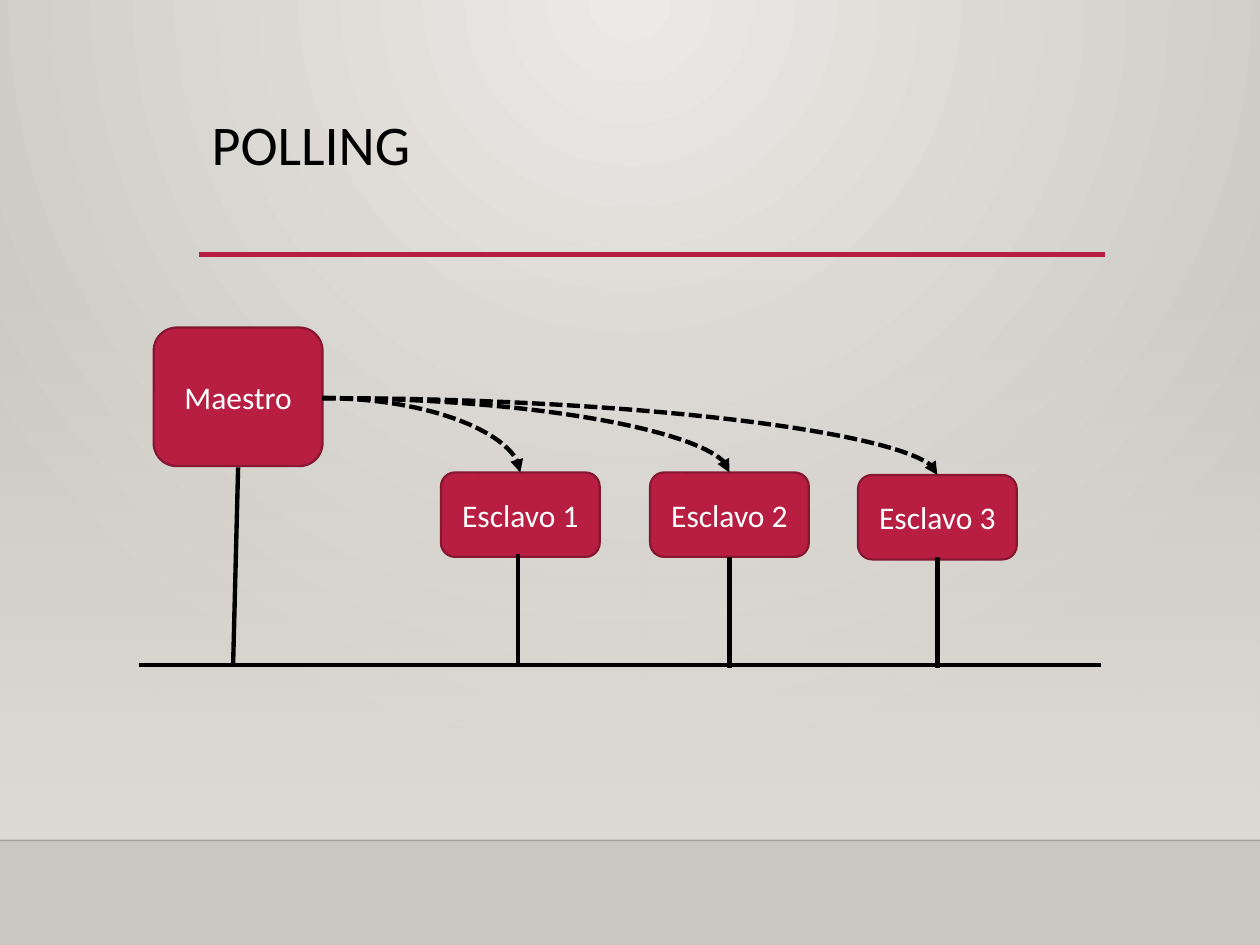
import pptx
import pptx.util
import pptx.dml.color
import pptx.enum.dml
import pptx.enum.shapes
import pptx.enum.text
import pptx.oxml
import pptx.oxml.ns
from pptx.util import Inches

# Content: label, left, top, width, height
TITLE = "POLLING"
MASTER = ("Maestro", 1.22, 2.6, 1.34, 1.1)
SLAVES = [(f"Esclavo {n + 1}", left, top, 1.26, 0.67)
          for n, (left, top) in enumerate([(3.5, 3.75), (5.16, 3.75), (6.81, 3.77)])]
BUS = (1.1, 5.28, 8.74, 5.28)
DROPS = [(1.89, 3.71, 1.85, 5.28), (4.11, 4.4, 4.11, 5.28),
         (5.79, 4.42, 5.79, 5.3), (7.44, 4.42, 7.44, 5.3)]

THEME = {
    "font": "Calibri", "title": 32, "label": 18,
    "ink": "000000", "white": "FFFFFF", "red": "B71E42", "edge": "871631",
    "light": "ECEAE7", "dark": "CAC7C1", "wall": "DFDBD5",
    "thick": 2.5, "thin": 1, "border": 1.25,
}
NS = pptx.oxml.ns.nsdecls("a")
qn = pptx.oxml.ns.qn
SHAPE = pptx.enum.shapes.MSO_SHAPE
LINK = pptx.enum.shapes.MSO_CONNECTOR
ANCHOR = pptx.enum.text.MSO_ANCHOR
ALIGN = pptx.enum.text.PP_ALIGN


def color(name):
    return pptx.dml.color.RGBColor.from_string(THEME[name])


def write(par, text, size, tint):
    run = par.add_run()
    run.text = text
    run.font.name = THEME["font"]
    run.font.size = pptx.util.Pt(THEME[size])
    run.font.color.rgb = color(tint)


def blend(owner, stops, shade):
    """Swap the solid fill inside owner for a gradient."""
    marks = "".join(
        f'<a:gs pos="{pos * 1000}"><a:srgbClr val="{THEME[name]}">'
        f'<a:alpha val="{alpha * 1000}"/></a:srgbClr></a:gs>'
        for pos, name, alpha in stops)
    grad = pptx.oxml.parse_xml(
        f'<a:gradFill {NS} rotWithShape="1"><a:gsLst>{marks}</a:gsLst>{shade}</a:gradFill>')
    solid = owner.find(qn("a:solidFill"))
    owner.replace(solid, grad)


def link(shapes, ends, tint="ink", width="thick", kind=LINK.STRAIGHT):
    line = shapes.add_connector(kind, *map(Inches, ends))
    line.line.color.rgb = color(tint)
    line.line.width = pptx.util.Pt(THEME[width])
    line._element.spPr.append(pptx.oxml.parse_xml(f"<a:effectLst {NS}/>"))
    return line


def poll(shapes, ends):
    """Dashed curve that leaves sideways and lands pointing down."""
    curve = link(shapes, ends, kind=LINK.CURVE)
    curve._element.spPr.find(qn("a:prstGeom")).set("prst", "curvedConnector2")
    curve.line.dash_style = pptx.enum.dml.MSO_LINE.SQUARE_DOT
    curve.line._get_or_add_ln().append(
        pptx.oxml.parse_xml(f'<a:tailEnd {NS} type="triangle"/>'))


def node(shapes, label, *place):
    box = shapes.add_shape(SHAPE.ROUNDED_RECTANGLE, *map(Inches, place))
    box.shadow.inherit = False
    box.fill.solid()
    box.fill.fore_color.rgb = color("red")
    box.line.color.rgb = color("edge")
    box.line.width = pptx.util.Pt(THEME["border"])
    box.text_frame.vertical_anchor = ANCHOR.MIDDLE
    par = box.text_frame.paragraphs[0]
    par.alignment = ALIGN.CENTER
    write(par, label, "label", "white")


def main():
    deck = pptx.Presentation()
    deck.slide_width, deck.slide_height = Inches(10), Inches(7.5)
    slide = deck.slides.add_slide(deck.slide_layouts[5])
    shapes = slide.shapes

    # Background: radial light, then a wall that fades in downwards
    slide.background.fill.solid()
    blend(slide._element.cSld.bg.bgPr, [(0, "light", 100), (100, "dark", 100)],
          '<a:path path="circle"><a:fillToRect l="43000" r="43000" b="100000"/></a:path>')
    wall = shapes.add_shape(SHAPE.RECTANGLE, *map(Inches, (0, 2.2, 10, 4.46)))
    wall.shadow.inherit = False
    wall.line.fill.background()
    wall.fill.solid()
    blend(wall._element.spPr, [(0, "wall", 0), (100, "wall", 100)],
          '<a:lin ang="5400000" scaled="0"/>')
    floor = link(shapes, (0, 6.67, 10, 6.67), width="thin")
    floor.line._get_or_add_ln().find(".//" + qn("a:srgbClr")).append(
        pptx.oxml.parse_xml(f'<a:alpha {NS} val="20000"/>'))

    # Title and rule
    link(shapes, (1.58, 2.02, 8.77, 2.02), "red")
    title = shapes.title
    title.left, title.top, title.width, title.height = map(Inches, (1.58, 0.88, 7.19, 1.15))
    title.text_frame.vertical_anchor = ANCHOR.TOP
    par = title.text_frame.paragraphs[0]
    par.alignment = ALIGN.LEFT
    par.line_spacing = 0.9
    write(par, TITLE, "title", "ink")

    # Nodes
    for item in [MASTER, *SLAVES]:
        node(shapes, *item)

    # Bus and drops
    for ends in [BUS, *DROPS]:
        link(shapes, ends)

    # Polling curves, from the master's right side to each slave's top
    _, left, top, width, _ = MASTER
    for _, x, y, wide, _ in SLAVES:
        poll(shapes, (left + width, 3.16, x + wide / 2, y))

    deck.save("out.pptx")


if __name__ == "__main__":
    main()
